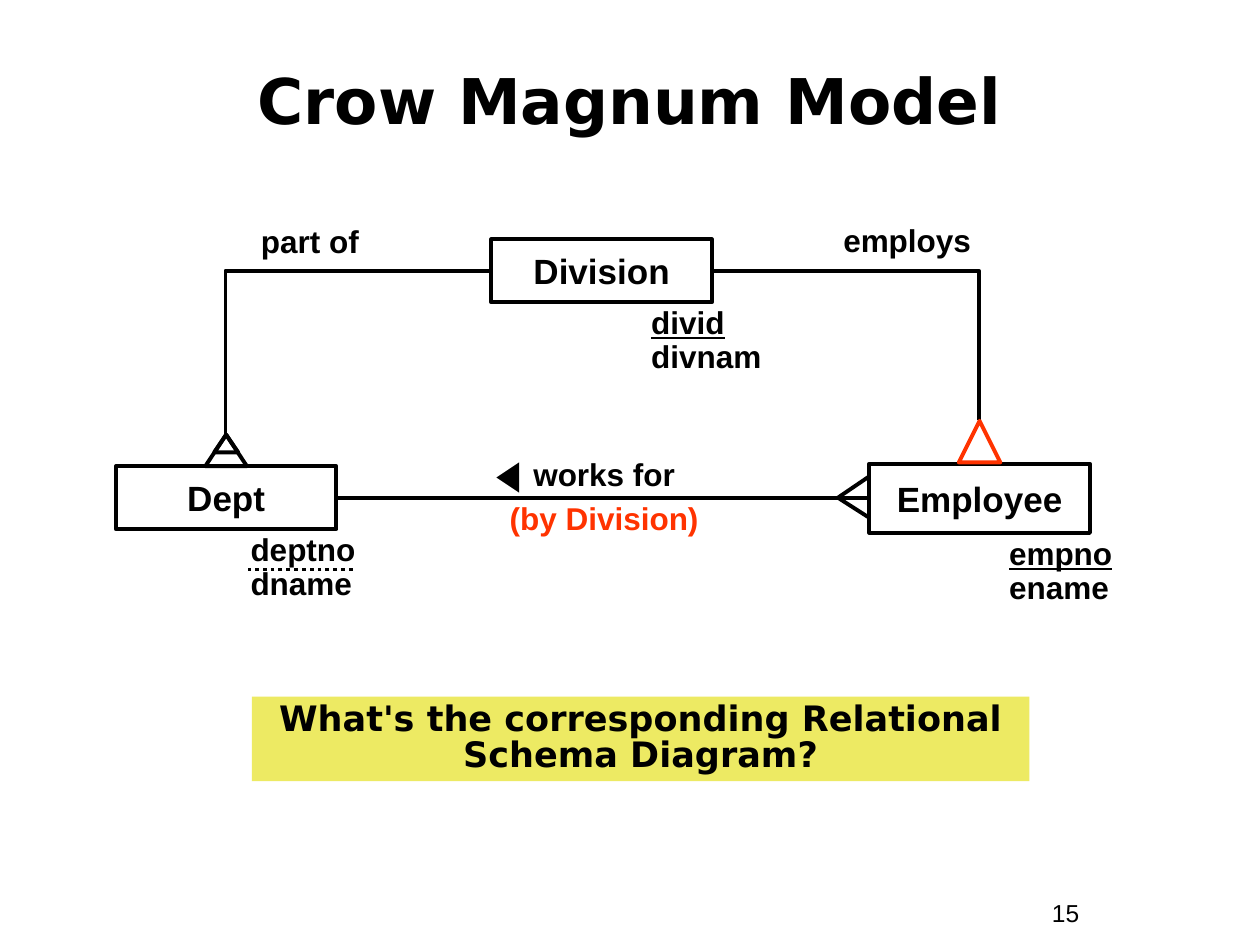
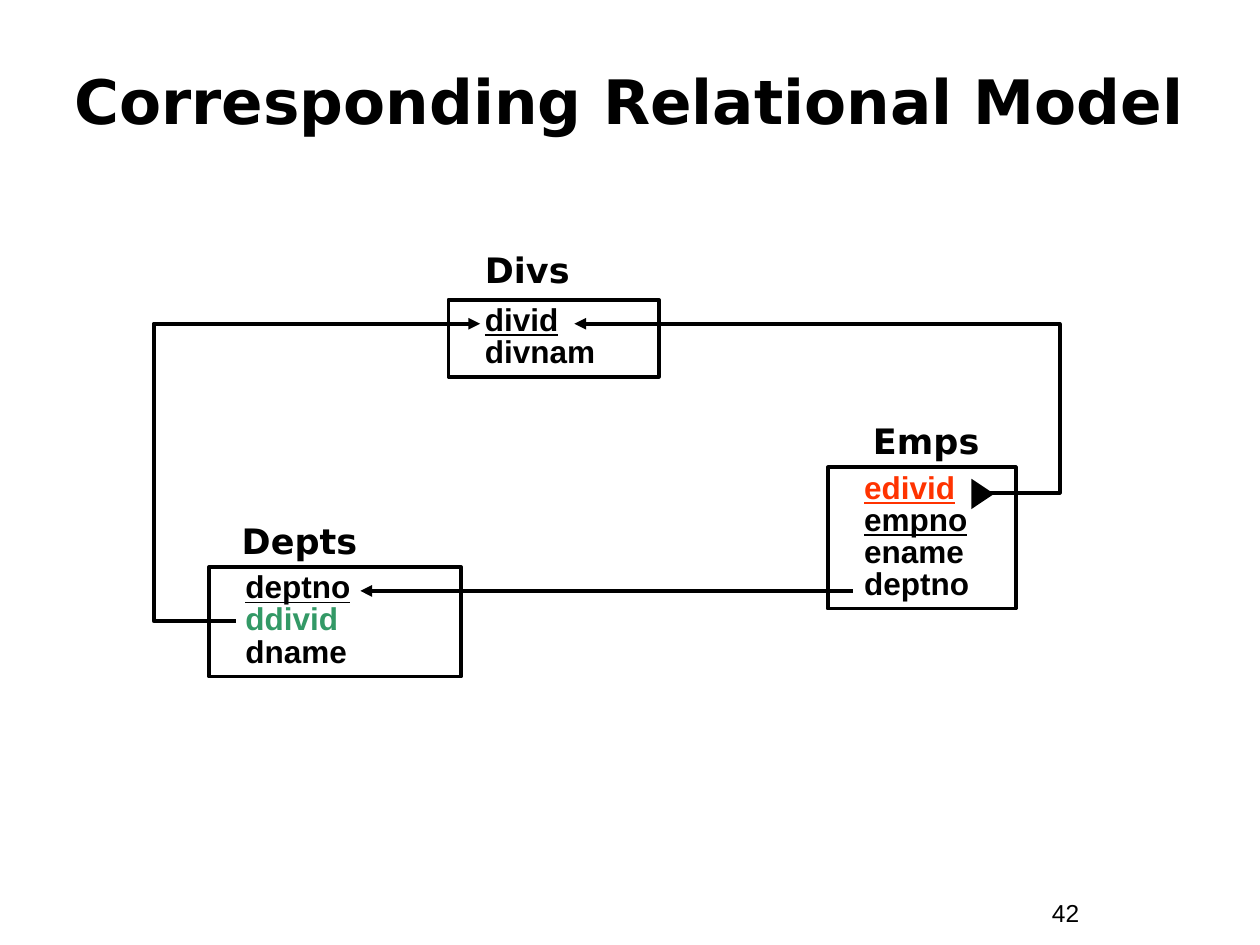
from collections import namedtuple

from lxml import etree
from pptx import Presentation
from pptx.dml.color import RGBColor
from pptx.enum.dml import MSO_LINE_DASH_STYLE as Dash
from pptx.enum.shapes import MSO_CONNECTOR as Connector, MSO_SHAPE as Shape
from pptx.enum.text import MSO_ANCHOR as Anchor, MSO_AUTO_SIZE as AutoSize, PP_ALIGN as Align
from pptx.oxml.ns import qn
from pptx.util import Inches, Pt

BLACK, RED, GREEN, YELLOW = "000000", "FF3300", "339966", "EDEA63"
BODY_FONT, HEADING_FONT = "Arial", "DejaVu Sans"
LINE_WIDTH = 2.25
TITLE_ONLY = 5

Row = namedtuple("Row", "text color underline", defaults=(BLACK, False))


def rgb(color):
    return RGBColor.from_string(color)


def write_text(shape, rows, size=18, font=BODY_FONT, bold=True, align=Align.LEFT,
               anchor=Anchor.TOP, spacing=1.0, indent=0):
    frame = shape.text_frame
    frame.word_wrap = True
    frame.auto_size = AutoSize.NONE
    frame.vertical_anchor = anchor
    frame.margin_left = frame.margin_right = Inches(0.1)
    frame.margin_top = frame.margin_bottom = Inches(0.05)
    rows = [Row(rows)] if isinstance(rows, str) else rows
    for index, row in enumerate(rows):
        paragraph = frame.add_paragraph() if index else frame.paragraphs[0]
        paragraph.alignment = align
        paragraph.line_spacing = spacing
        if indent:
            paragraph._p.get_or_add_pPr().set("marL", str(Inches(indent)))
        run = paragraph.add_run()
        run.text = row.text
        run.font.name = font
        run.font.size = Pt(size)
        run.font.bold = bold
        run.font.underline = row.underline
        run.font.color.rgb = rgb(row.color)


def add_label(slide, box, rows, **text_format):
    label = slide.shapes.add_textbox(*map(Inches, box))
    write_text(label, rows, **text_format)


def add_figure(slide, kind, box, fill=None, line=None, rotation=0):
    figure = slide.shapes.add_shape(kind, *map(Inches, box))
    figure.shadow.inherit = False
    figure.rotation = rotation
    if fill:
        figure.fill.solid()
        figure.fill.fore_color.rgb = rgb(fill)
    else:
        figure.fill.background()
    if line:
        figure.line.color.rgb = rgb(line)
        figure.line.width = Pt(LINE_WIDTH)
    else:
        figure.line.fill.background()
    return figure


def add_line(slide, start, end, bend_x=None, arrow=False, dash=None):
    kind = Connector.STRAIGHT if bend_x is None else Connector.ELBOW
    line = slide.shapes.add_connector(kind, *map(Inches, start + end))
    line.line.color.rgb = rgb(BLACK)
    line.line.width = Pt(LINE_WIDTH)
    if dash:
        line.line.dash_style = dash
    properties = line._element.spPr
    if bend_x is not None:
        share = (bend_x - start[0]) / (end[0] - start[0])
        adjustments = properties.find(qn("a:prstGeom")).get_or_add_avLst()
        etree.SubElement(adjustments, qn("a:gd"), name="adj1", fmla=f"val {round(share * 100000)}")
    if arrow:
        etree.SubElement(line.line._get_or_add_ln(), qn("a:tailEnd"), type="triangle")
    etree.SubElement(properties, qn("a:effectLst"))


def add_entity(slide, box, name):
    entity = add_figure(slide, Shape.RECTANGLE, box, line=BLACK)
    write_text(entity, name, size=20, align=Align.CENTER, anchor=Anchor.MIDDLE)


def add_attributes(slide, left, top, rows):
    add_label(slide, (left, top, 1.19, 0.64), rows, spacing=0.9)


def add_relation(slide, name, name_box, box, columns):
    add_label(slide, name_box, name, size=20, font=HEADING_FONT)
    relation = add_figure(slide, Shape.RECTANGLE, box, line=BLACK)
    write_text(relation, columns, spacing=0.85, indent=0.19)


def add_slide(presentation, title, number, title_size):
    slide = presentation.slides.add_slide(presentation.slide_layouts[TITLE_ONLY])
    heading = slide.shapes.title
    heading.left, heading.top = Inches(0.33), Inches(0.33)
    heading.width, heading.height = Inches(9.33), Inches(0.92)
    write_text(heading, title, size=title_size, font=HEADING_FONT,
               align=Align.CENTER, anchor=Anchor.MIDDLE)
    add_label(slide, (8.25, 7.08, 0.92, 0.34), number, size=14, bold=False)
    return slide


def build_entity_model(presentation):
    slide = add_slide(presentation, "Crow Magnum Model", "15", 36)
    add_entity(slide, (6.9, 3.68, 1.75, 0.55), "Employee")
    add_entity(slide, (3.9, 1.9, 1.75, 0.5), "Division")
    add_entity(slide, (0.92, 3.7, 1.75, 0.5), "Dept")

    add_line(slide, (5.67, 2.15), (7.77, 3.33), bend_x=7.77)
    add_line(slide, (3.89, 2.15), (1.79, 3.45), bend_x=1.79)
    add_line(slide, (6.89, 3.95), (2.68, 3.95))
    for toe_y in (3.78, 4.11):
        add_line(slide, (6.65, 3.95), (6.9, toe_y))
    for box in ((1.63, 3.45, 0.33, 0.25), (1.7, 3.45, 0.19, 0.14)):
        add_figure(slide, Shape.ISOSCELES_TRIANGLE, box, line=BLACK)
    add_figure(slide, Shape.FLOWCHART_EXTRACT, (7.61, 3.34, 0.33, 0.33), line=RED)
    add_figure(slide, Shape.ISOSCELES_TRIANGLE, (3.91, 3.7, 0.24, 0.18), fill=BLACK, rotation=270)

    for box, verb in (((6.27, 1.75, 1.86, 0.36), "employs"), ((1.53, 1.76, 1.86, 0.36), "part of")):
        add_label(slide, box, verb, align=Align.CENTER, spacing=0.85)
    add_label(slide, (3.69, 3.52, 2.21, 0.79), [Row("works for"), Row("(by Division)", RED)],
              align=Align.CENTER, spacing=1.15)

    add_attributes(slide, 5.07, 2.39, [Row("divid", underline=True), Row("divnam")])
    add_attributes(slide, 1.89, 4.19, [Row("deptno"), Row("dname")])
    add_attributes(slide, 7.91, 4.22, [Row("empno", underline=True), Row("ename")])
    add_line(slide, (2.8, 4.52), (1.97, 4.52), dash=Dash.ROUND_DOT)

    question = add_figure(slide, Shape.RECTANGLE, (2, 5.53, 6.17, 0.67), fill=YELLOW)
    write_text(question, "What's the corresponding Relational Schema Diagram?", size=20,
               font=HEADING_FONT, align=Align.CENTER, spacing=0.85)


def build_relational_model(presentation):
    slide = add_slide(presentation, "Corresponding Relational Model", "42", 35)
    add_relation(slide, "Depts", (1.82, 4.07, 2.15, 0.44), (1.66, 4.5, 2, 0.87),
                 [Row("deptno", underline=True), Row("ddivid", GREEN), Row("dname")])
    add_relation(slide, "Emps", (6.83, 3.28, 1.58, 0.44), (6.57, 3.71, 1.49, 1.12),
                 [Row("edivid", RED, True), Row("empno", underline=True),
                  Row("ename"), Row("deptno")])
    add_relation(slide, "Divs", (3.75, 1.92, 1.25, 0.44), (3.56, 2.38, 1.67, 0.61),
                 [Row("divid", underline=True), Row("divnam")])

    add_line(slide, (1.87, 4.93), (3.81, 2.57), bend_x=1.22, arrow=True)
    add_line(slide, (7.79, 3.91), (4.56, 2.57), bend_x=8.41, arrow=True)
    add_line(slide, (6.77, 4.69), (2.86, 4.69), arrow=True)
    add_figure(slide, Shape.ISOSCELES_TRIANGLE, (7.68, 3.83, 0.24, 0.18), fill=BLACK, rotation=90)


def main():
    presentation = Presentation()
    presentation.slide_width, presentation.slide_height = Inches(10), Inches(7.5)
    build_entity_model(presentation)
    build_relational_model(presentation)
    presentation.save("out.pptx")


if __name__ == "__main__":
    main()
